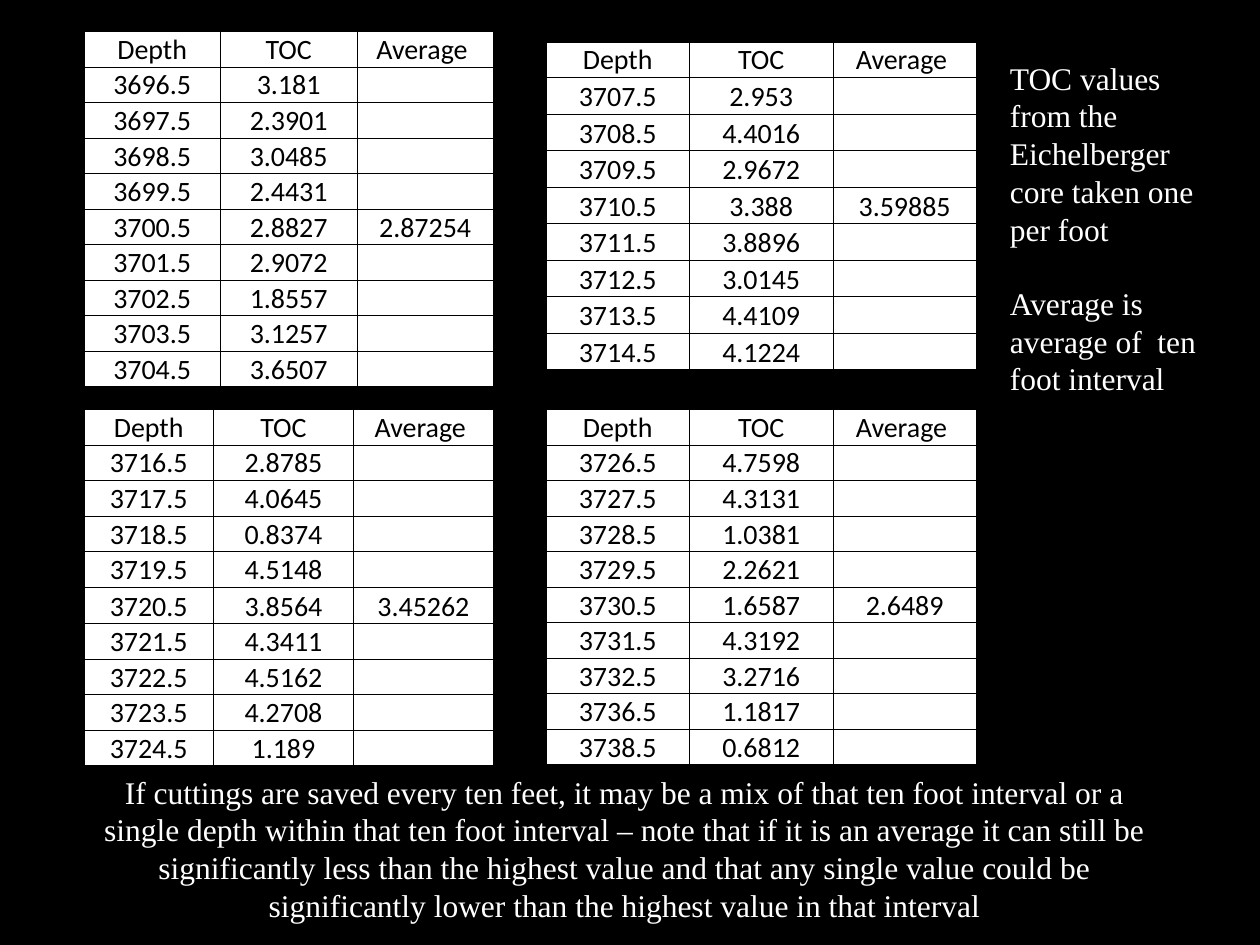
from dataclasses import dataclass

from lxml import etree
from pptx import Presentation
from pptx import util as u
from pptx.dml.color import RGBColor
from pptx.enum import text
from pptx.oxml import ns

HEADINGS = ("Depth", "TOC", "Average ")

TABLES = [
    {
        "place": (8, 3), "columns": (13, 13, 13), "row_heights": [0.28] * 10,
        "average": ("3700.5", "2.87254"),
        "samples": [
            ("3696.5", "3.181"), ("3697.5", "2.3901"), ("3698.5", "3.0485"),
            ("3699.5", "2.4431"), ("3700.5", "2.8827"), ("3701.5", "2.9072"),
            ("3702.5", "1.8557"), ("3703.5", "3.1257"), ("3704.5", "3.6507"),
        ],
    },
    {
        "place": (52, 4), "columns": (41 / 3,) * 3, "row_heights": [0.28] + [0.29] * 8,
        "average": ("3710.5", "3.59885"),
        "samples": [
            ("3707.5", "2.953"), ("3708.5", "4.4016"), ("3709.5", "2.9672"),
            ("3710.5", "3.388"), ("3711.5", "3.8896"), ("3712.5", "3.0145"),
            ("3713.5", "4.4109"), ("3714.5", "4.1224"),
        ],
    },
    {
        "place": (8, 39), "columns": (12.34, 13.33, 13.33),
        "row_heights": [0.28] * 5 + [0.29] + [0.28] * 4,
        "average": ("3720.5", "3.45262"),
        "samples": [
            ("3716.5", "2.8785"), ("3717.5", "4.0645"), ("3718.5", "0.8374"),
            ("3719.5", "4.5148"), ("3720.5", "3.8564"), ("3721.5", "4.3411"),
            ("3722.5", "4.5162"), ("3723.5", "4.2708"), ("3724.5", "1.189"),
        ],
    },
    {
        "place": (52, 39), "columns": (41 / 3,) * 3, "row_heights": [0.28] * 10,
        "average": ("3730.5", "2.6489"),
        "samples": [
            ("3726.5", "4.7598"), ("3727.5", "4.3131"), ("3728.5", "1.0381"),
            ("3729.5", "2.2621"), ("3730.5", "1.6587"), ("3731.5", "4.3192"),
            ("3732.5", "3.2716"), ("3736.5", "1.1817"), ("3738.5", "0.6812"),
        ],
    },
]

NOTES = [
    {
        "box": (8, 73, 103, 15.75), "align": text.PP_ALIGN.CENTER,
        "paragraphs": [
            "If cuttings are saved every ten feet, it may be a mix of that ten foot "
            "interval or a single depth within that ten foot interval – note that if it "
            "is an average it can still be significantly less than the highest value and "
            "that any single value could be significantly lower than the highest value "
            "in that interval",
        ],
    },
    {
        "box": (95, 5, 21, 34), "align": text.PP_ALIGN.LEFT,
        "paragraphs": [
            "TOC values from the Eichelberger core taken one per foot",
            "Average is average of  ten foot interval",
        ],
    },
]


@dataclass(frozen=True)
class Theme:
    dark: str = "000000"
    light: str = "FFFFFF"
    table_font: str = "Calibri"
    table_size: int = 16
    note_font: str = "Times New Roman"
    note_size: int = 18
    note_gap: float = 20.7
    border: float = 0.5
    cell_margin: float = 0.01


THEME = Theme()
COLUMNS, ROWS = 120, 90
SLIDE_WIDTH, SLIDE_HEIGHT = u.Inches(10), u.Inches(7.5)


def across(columns):
    return round(SLIDE_WIDTH * columns / COLUMNS)


def down(rows):
    return round(SLIDE_HEIGHT * rows / ROWS)


def style_font(font, name, size, color):
    font.name = name
    font.size = u.Pt(size)
    font.color.rgb = RGBColor.from_string(color)


def add_borders(cell):
    properties = cell._tc.get_or_add_tcPr()
    for side in ("lnL", "lnR", "lnT", "lnB"):
        line = etree.SubElement(properties, ns.qn(f"a:{side}"), w=str(u.Pt(THEME.border)))
        fill = etree.SubElement(line, ns.qn("a:solidFill"))
        etree.SubElement(fill, ns.qn("a:srgbClr"), val=THEME.dark)


def fill_cell(cell, value):
    add_borders(cell)
    cell.fill.solid()
    cell.fill.fore_color.rgb = RGBColor.from_string(THEME.light)
    cell.vertical_anchor = text.MSO_ANCHOR.BOTTOM
    cell.margin_left = cell.margin_right = cell.margin_top = u.Inches(THEME.cell_margin)
    cell.margin_bottom = 0
    paragraph = cell.text_frame.paragraphs[0]
    paragraph.alignment = text.PP_ALIGN.CENTER
    style_font(paragraph.font, THEME.table_font, THEME.table_size, THEME.dark)
    if value:
        paragraph.add_run().text = value
    else:
        etree.SubElement(paragraph._p, ns.qn("a:endParaRPr"), sz=str(THEME.table_size * 100))


def add_sample_table(slide, place, columns, row_heights, average, samples):
    averages = dict([average])
    records = [HEADINGS] + [(depth, toc, averages.get(depth, "")) for depth, toc in samples]
    left, top = place
    table = slide.shapes.add_table(
        len(records), len(columns), across(left), down(top),
        across(sum(columns)), u.Inches(sum(row_heights)),
    ).table
    table.first_row = table.horz_banding = False
    for column, width in zip(table.columns, columns):
        column.width = across(width)
    for row, height, record in zip(table.rows, row_heights, records):
        row.height = u.Inches(height)
        for cell, value in zip(row.cells, record):
            fill_cell(cell, value)


def add_note(slide, box, align, paragraphs):
    left, top, width, height = box
    shape = slide.shapes.add_textbox(across(left), down(top), across(width), down(height))
    frame = shape.text_frame
    frame.word_wrap = True
    frame.auto_size = text.MSO_AUTO_SIZE.SHAPE_TO_FIT_TEXT
    for index, content in enumerate(paragraphs):
        paragraph = frame.add_paragraph() if index else frame.paragraphs[0]
        paragraph.text = content
        paragraph.alignment = align
        if index:
            paragraph.space_before = u.Pt(THEME.note_gap)
        style_font(paragraph.font, THEME.note_font, THEME.note_size, THEME.light)


def main():
    presentation = Presentation()
    presentation.slide_width, presentation.slide_height = SLIDE_WIDTH, SLIDE_HEIGHT
    slide = presentation.slides.add_slide(presentation.slide_layouts[6])
    slide.background.fill.solid()
    slide.background.fill.fore_color.rgb = RGBColor.from_string(THEME.dark)
    for sample_table in TABLES:
        add_sample_table(slide, **sample_table)
    for note in NOTES:
        add_note(slide, **note)
    presentation.save("out.pptx")


if __name__ == "__main__":
    main()
